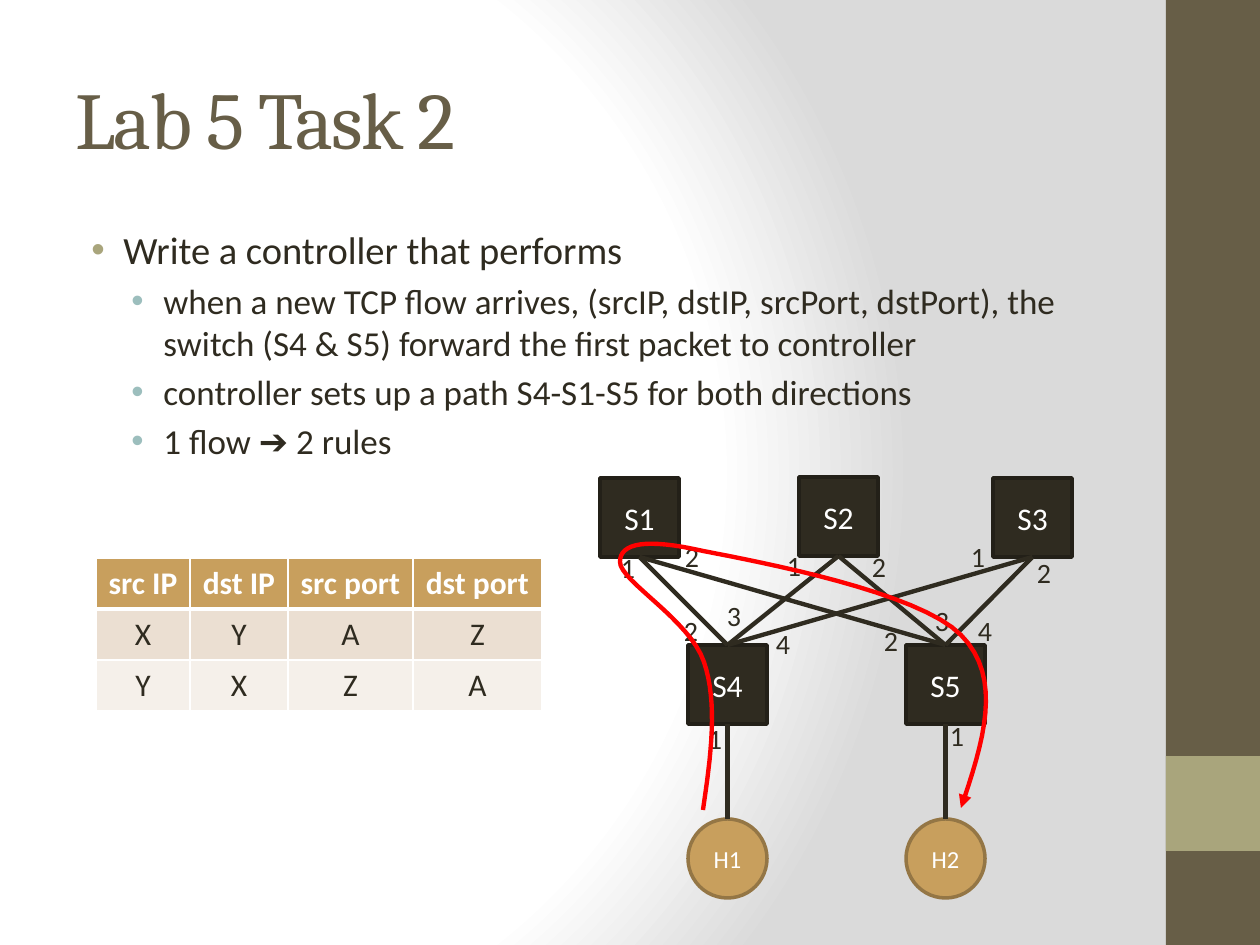
"""Build the Lab 5 Task 2 slide with its rule table and switch topology."""
from dataclasses import dataclass

from pptx import Presentation
from pptx.dml.color import RGBColor
from pptx.enum.shapes import MSO_CONNECTOR, MSO_SHAPE
from pptx.enum.text import MSO_ANCHOR, PP_ALIGN
from pptx.oxml import parse_xml
from pptx.oxml.ns import nsdecls, qn
from pptx.oxml.xmlchemy import OxmlElement
from pptx.util import Pt


@dataclass(frozen=True)
class Theme:
    ink: str = "2F2B20"
    edge: str = "232018"
    brown: str = "675E47"
    olive: str = "A9A57C"
    teal: str = "9CBEBD"
    gold: str = "C89F5D"
    bronze: str = "947645"
    white: str = "FFFFFF"
    grey: str = "DADADA"
    red: str = "FF0000"
    bands: tuple = ("C89F5D", "EBDFD2", "F5F0EA")
    heading: str = "Cambria"
    body: str = "Calibri"
    title_size: int = 46
    level_sizes: tuple = (22, 20)
    node_size: int = 18
    host_size: int = 14
    port_size: int = 16


theme = Theme()
SCALE = 914400 / 126


def px(*lengths):
    return [round(length * SCALE) for length in lengths]


def write(para, text, size, color, name=theme.body, bold=False, align=None):
    para.alignment = align
    span = para.add_run()
    span.text = text
    for key, value in {"size": Pt(size), "name": name, "bold": bold}.items():
        setattr(span.font, key, value)
    span.font.color.rgb = RGBColor.from_string(color)
    return span


deck = Presentation()
deck.slide_width, deck.slide_height = px(1260, 945)
page = deck.slides.add_slide(deck.slide_layouts[6])
stops = "".join(
    f'<a:gs pos="{position}000"><a:srgbClr val="{color}"/></a:gs>'
    for position, color in ((0, theme.white), (75, theme.white), (100, theme.grey))
)
page.element.cSld.insert(0, parse_xml(
    f'<p:bg {nsdecls("p", "a")}><p:bgPr><a:gradFill rotWithShape="1">'
    f'<a:gsLst>{stops}</a:gsLst><a:path path="circle">'
    '<a:fillToRect l="20000" t="50000" r="100000" b="50000"/></a:path>'
    '</a:gradFill><a:effectLst/></p:bgPr></p:bg>'
))

for top, height, color in ((0, 945, theme.brown), (756, 95, theme.olive)):
    band = page.shapes.add_shape(MSO_SHAPE.RECTANGLE, *px(1166, top, 94, height))
    band.shadow.inherit = False
    band.fill.solid()
    band.fill.fore_color.rgb = RGBColor.from_string(color)
    band.line.fill.background()

title = page.shapes.add_textbox(*px(63, 38, 1050, 158)).text_frame
title.word_wrap = True
title.vertical_anchor = MSO_ANCHOR.MIDDLE
span = write(title.paragraphs[0], "Lab 5 Task 2", theme.title_size, theme.brown, theme.heading)
span.font._element.set("spc", "-100")

body = page.shapes.add_textbox(*px(63, 220, 1050, 662)).text_frame
body.word_wrap = True
points = (
    (0, "Write a controller that performs"),
    (1, "when a new TCP flow arrives, (srcIP, dstIP, srcPort, dstPort), the "
        "switch (S4 & S5) forward the first packet to controller"),
    (1, "controller sets up a path S4-S1-S5 for both directions"),
    (1, "1 flow \u2794 2 rules"),
)
for index, (level, text) in enumerate(points):
    para = body.add_paragraph() if index else body.paragraphs[0]
    size = theme.level_sizes[level]
    write(para, text, size, theme.ink)
    para.level = level
    para.space_before = Pt(size * 0.2)
    props = para._p.get_or_add_pPr()
    margin, indent = px((48, 88)[level], -32)
    props.set("marL", str(margin))
    props.set("indent", str(indent))
    bullet_color = (theme.olive, theme.teal)[level]
    for xml in (
        f'<a:buClr {nsdecls("a")}><a:srgbClr val="{bullet_color}"/></a:buClr>',
        f'<a:buFont {nsdecls("a")} typeface="Arial"/>',
        f'<a:buChar {nsdecls("a")} char="\u2022"/>',
    ):
        props.append(parse_xml(xml))

rules = (("src IP", "dst IP", "src port", "dst port"), "XYAZ", "YXZA")
widths = (94, 98, 125, 129)
table = page.shapes.add_table(3, 4, *px(96, 558, sum(widths), 153)).table
for column, width in zip(table.columns, px(*widths)):
    column.width = width
for row_index, values in enumerate(rules):
    table.rows[row_index].height = px(51)[0]
    header = row_index == 0
    for column_index, text in enumerate(values):
        cell = table.cell(row_index, column_index)
        write(cell.text_frame.paragraphs[0], text, theme.node_size,
              theme.white if header else theme.ink, bold=header, align=PP_ALIGN.CENTER)
        edges = {"lnL": 1, "lnR": 1, "lnT": 3 if row_index == 1 else 1, "lnB": 3 if header else 1}
        for tag, weight in edges.items():
            cell._tc.get_or_add_tcPr().append(parse_xml(
                f'<a:{tag} {nsdecls("a")} w="{Pt(weight)}"><a:solidFill>'
                f'<a:srgbClr val="{theme.white}"/></a:solidFill></a:{tag}>'
            ))
        cell.fill.solid()
        cell.fill.fore_color.rgb = RGBColor.from_string(theme.bands[row_index])

switch_style = (MSO_SHAPE.RECTANGLE, theme.ink, theme.edge, theme.node_size)
host_style = (MSO_SHAPE.OVAL, theme.gold, theme.bronze, theme.host_size)
nodes = {}
for name, left, top in (
    ("S1", 600, 478), ("S2", 799, 477), ("S3", 993, 478),
    ("S4", 688, 645), ("S5", 906, 645), ("H1", 688, 819), ("H2", 906, 819),
):
    kind, fill, edge, size = switch_style if name.startswith("S") else host_style
    node = page.shapes.add_shape(kind, *px(left, top, 79, 79))
    node.shadow.inherit = False
    node.fill.solid()
    node.fill.fore_color.rgb = RGBColor.from_string(fill)
    node.line.color.rgb = RGBColor.from_string(edge)
    node.line.width = Pt(2)
    node.text_frame.vertical_anchor = MSO_ANCHOR.MIDDLE
    write(node.text_frame.paragraphs[0], name, size, theme.white, align=PP_ALIGN.CENTER)
    nodes[name] = node

links = [(upper, lower) for upper in ("S1", "S2", "S3") for lower in ("S4", "S5")]
for upper, lower in links + [("S4", "H1"), ("S5", "H2")]:
    link = page.shapes.add_connector(MSO_CONNECTOR.STRAIGHT, 0, 0, 0, 0)
    link.begin_connect(nodes[upper], 2)
    link.end_connect(nodes[lower], 0)
    link.line.color.rgb = RGBColor.from_string(theme.ink)
    link.line.width = Pt(2.5)
    link._element.spPr.append(OxmlElement("a:effectLst"))

ports = (
    ("1", 693, 724), ("2", 669, 616), ("3", 920, 606), ("2", 869, 626), ("1", 935, 721),
    ("1", 606, 553), ("1", 772, 551), ("2", 857, 552), ("1", 956, 542), ("2", 670, 542),
    ("2", 1022, 558), ("3", 712, 601), ("4", 761, 629), ("4", 963, 616),
)
for number, left, top in ports:
    port = page.shapes.add_textbox(*px(left, top, 44, 29)).text_frame
    port.word_wrap = True
    port.vertical_anchor = MSO_ANCHOR.MIDDLE
    write(port.paragraphs[0], number, theme.port_size, theme.ink, align=PP_ALIGN.CENTER)

start = (703, 810)
curves = (
    ((711, 756), (718, 703), (704, 662)),
    ((690, 620), (620, 581), (620, 562)),
    ((620, 543), (646, 538), (703, 551)),
    ((760, 562), (919, 592), (961, 635)),
    ((1004, 678), (983, 743), (961, 808)),
)
steps = 16
route = page.shapes.build_freeform(*px(*start), scale=1.0)
for curve in curves:
    samples = []
    for step in range(1, steps + 1):
        t = step / steps
        weights = ((1 - t) ** 3, 3 * t * (1 - t) ** 2, 3 * t * t * (1 - t), t ** 3)
        samples.append(px(*(
            sum(weight * value for weight, value in zip(weights, axis))
            for axis in zip(start, *curve)
        )))
    route.add_line_segments(samples, close=False)
    start = curve[-1]
flow = route.convert_to_shape()
flow.shadow.inherit = False
flow.fill.background()
flow.line.color.rgb = RGBColor.from_string(theme.red)
flow.line.width = Pt(2.5)
flow._element.spPr.find(qn("a:ln")).append(
    parse_xml(f'<a:tailEnd {nsdecls("a")} type="triangle"/>')
)

deck.save("out.pptx")
